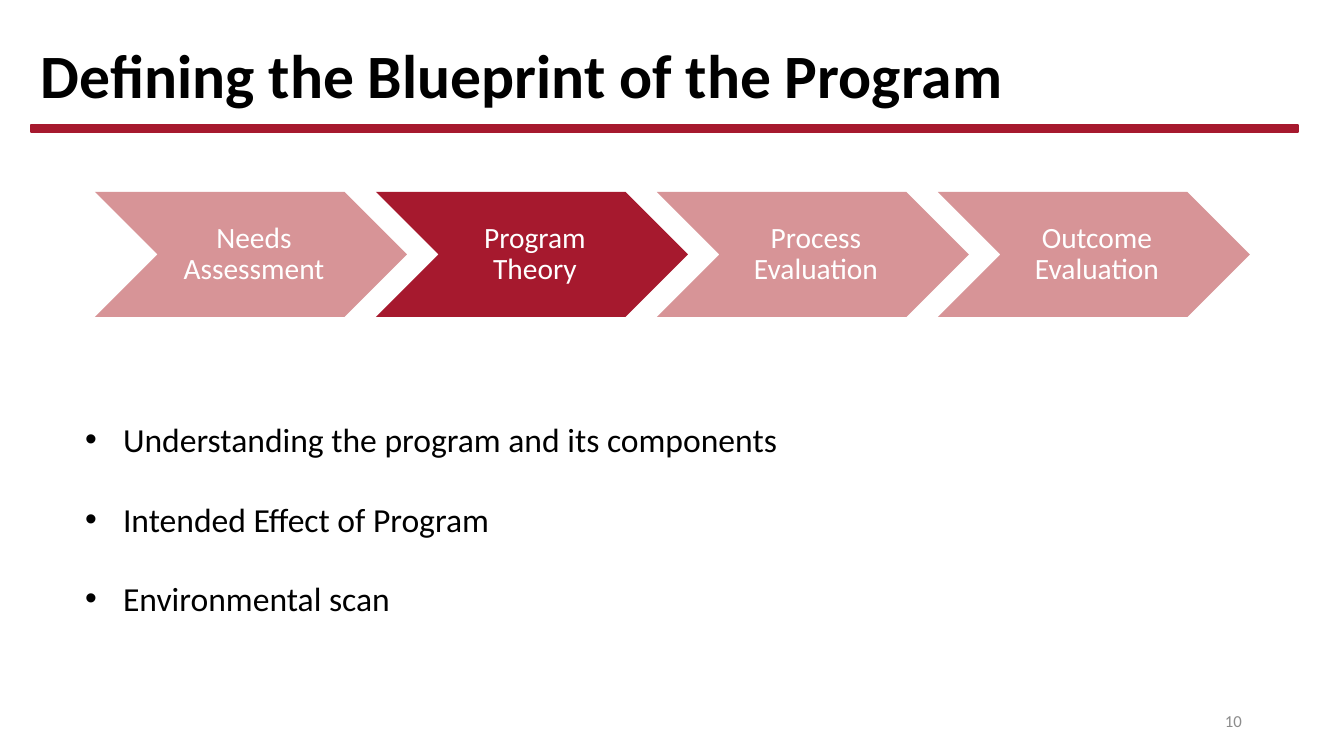
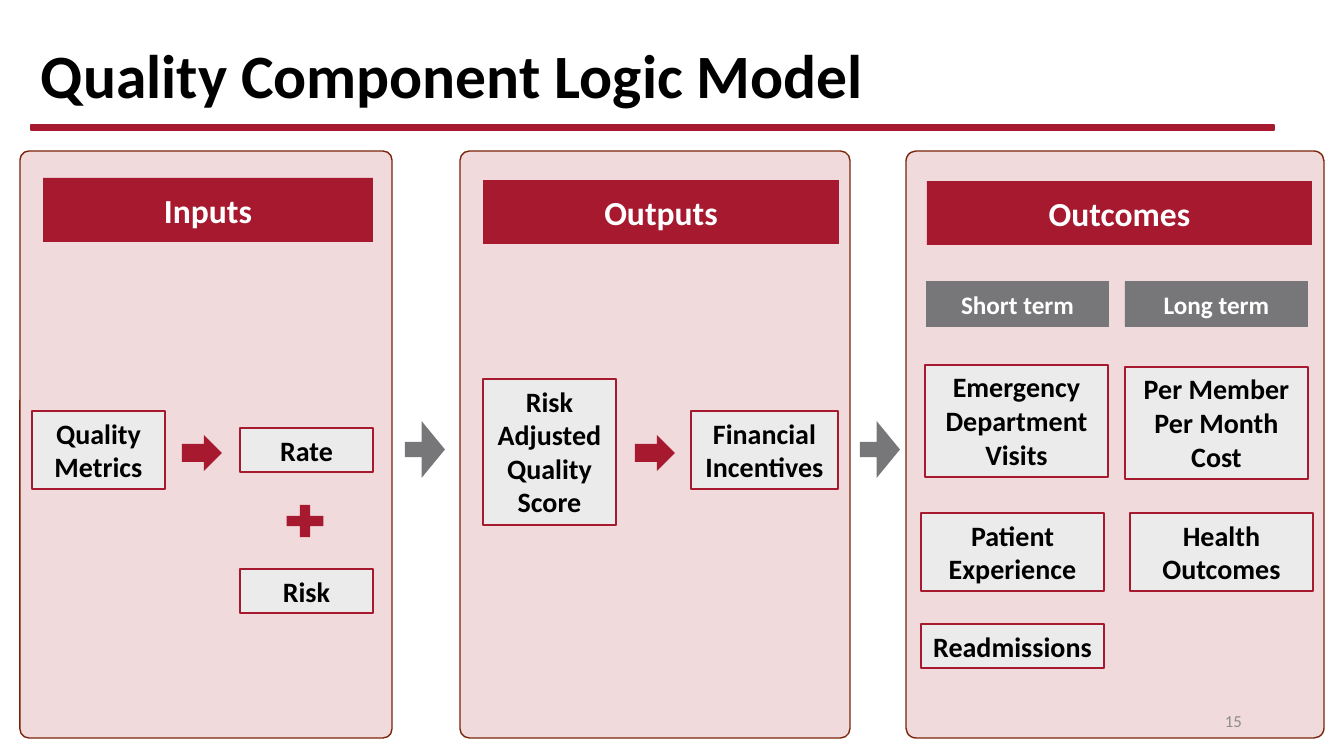
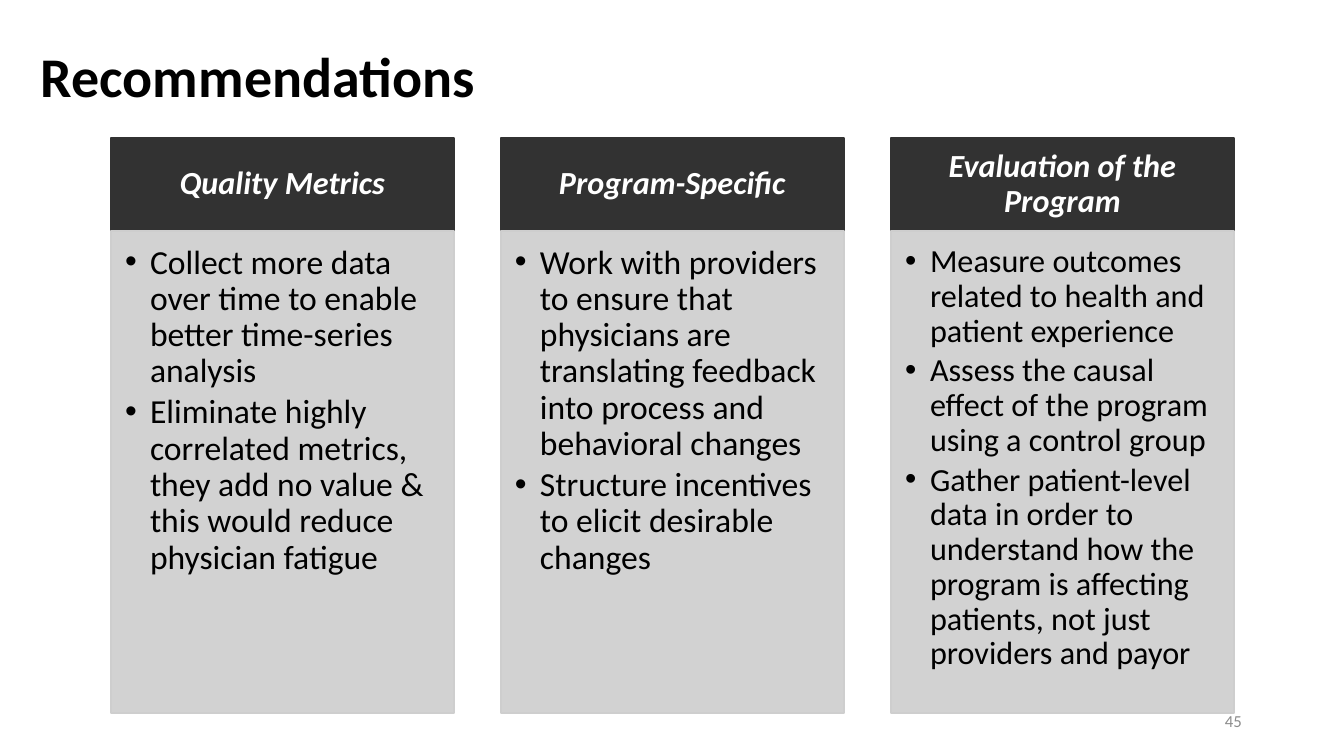
from dataclasses import dataclass

from lxml.etree import SubElement
from pptx import Presentation
from pptx.dml.color import RGBColor
from pptx.enum.shapes import MSO_SHAPE as SHAPE
from pptx.enum.text import MSO_ANCHOR as ANCHOR, PP_ALIGN as ALIGN
from pptx.oxml.ns import qn
from pptx.util import Emu, Pt

WIDTH, HEIGHT = 1344, 756
EMU_PER_PX = 12192000 / WIDTH


@dataclass(frozen=True)
class Theme:
    font: str = "Calibri"
    red: str = "A6192E"
    pale_red: str = "D79497"
    panel_edge: str = "7A240B"
    gray: str = "777779"
    charcoal: str = "323232"
    silver: str = "CECECE"
    box: str = "EBEBEB"
    black: str = "000000"
    white: str = "FFFFFF"
    footer: str = "8C8C8C"
    title_size: int = 44
    heading_size: int = 24
    column_size: int = 23
    chevron_size: int = 21
    box_size: int = 20
    term_size: int = 18
    footer_size: int = 12


theme = Theme()


def write(shape, text, size, color=theme.black, bold=False, italic=False,
          align=ALIGN.LEFT, anchor=ANCHOR.MIDDLE, spacing=1.0, after=0,
          indent=0, insets=(10, 5, 10, 5)):
    """Fill a shape with one paragraph per line; an indent adds bullets."""
    frame = shape.text_frame
    frame.word_wrap = True
    frame.vertical_anchor = anchor
    (frame.margin_left, frame.margin_top, frame.margin_right,
     frame.margin_bottom) = [Emu(round(px * EMU_PER_PX)) for px in insets]
    frame.text = text
    for paragraph in frame.paragraphs:
        paragraph.alignment = align
        paragraph.line_spacing = spacing
        paragraph.space_after = Pt(after)
        font = paragraph.runs[0].font
        font.name, font.size = theme.font, Pt(size)
        font.bold, font.italic = bold, italic
        font.color.rgb = RGBColor.from_string(color)
        if indent:
            properties = paragraph._p.get_or_add_pPr()
            hang = round(indent * EMU_PER_PX)
            properties.set("marL", str(hang))
            properties.set("indent", str(-hang))
            SubElement(properties, qn("a:buFont")).set("typeface", "Arial")
            SubElement(properties, qn("a:buChar")).set("char", "•")


def place(slide, kind, box, fill=None, line=None, weight=1, opacity=100, adjust=()):
    """Add a preset shape, or a text box when kind is None; box is in px."""
    edges = [Emu(round(px * EMU_PER_PX)) for px in box]
    if kind is None:
        return slide.shapes.add_textbox(*edges)
    shape = slide.shapes.add_shape(kind, *edges)
    shape.shadow.inherit = False
    for index, value in enumerate(adjust):
        shape.adjustments[index] = value
    shape.fill.solid()
    shape.fill.fore_color.rgb = RGBColor.from_string(fill)
    if opacity < 100:
        tint = shape.fill._xPr.find(qn("a:solidFill"))[0]
        SubElement(tint, qn("a:alpha")).set("val", str(opacity * 1000))
    if line:
        shape.line.color.rgb = RGBColor.from_string(line)
        shape.line.width = Pt(weight)
    else:
        shape.line.fill.background()
    return shape


deck = Presentation()
deck.slide_width = Emu(round(WIDTH * EMU_PER_PX))
deck.slide_height = Emu(round(HEIGHT * EMU_PER_PX))

# Titles and the rule beneath them: title, size, rule width, rule height
pages = []
for title, size, rule_width, rule_height in (
    ("Defining the Blueprint of the Program", theme.title_size, 1267, 7),
    ("Quality Component Logic Model", theme.title_size, 1243, 5),
    ("Recommendations", 40, 0, 0),
):
    page = deck.slides.add_slide(deck.slide_layouts[6])
    pages.append(page)
    write(place(page, None, (31, 33, 1159, 92)), title, size, bold=True, spacing=0.9)
    if rule_width:
        place(page, SHAPE.RECTANGLE, (31, 125, rule_width, rule_height),
              theme.red, theme.red)
blueprint, logic_model, recommendations = pages

# Blueprint: four stages, the current one in full red
stages = ("Needs Assessment", "Program Theory", "Process Evaluation", "Outcome Evaluation")
for index, stage in enumerate(stages):
    fill = theme.red if stage == "Program Theory" else theme.pale_red
    chevron = place(blueprint, SHAPE.CHEVRON, (95 + 281 * index, 192, 312, 125), fill)
    write(chevron, stage, theme.chevron_size, theme.white, align=ALIGN.CENTER,
          spacing=0.9, insets=(9, 3, 3, 3))

write(place(blueprint, None, (75, 414, 929, 214)),
      "Understanding the program and its components\n"
      "Intended Effect of Program\n"
      "Environmental scan",
      theme.heading_size, anchor=ANCHOR.TOP, after=28, indent=38)

# Logic model: panels with headings
for heading, left, width, band in (
    ("Inputs", 20, 372, (43, 178, 330, 64)),
    ("Outputs", 460, 390, (483, 180, 356, 64)),
    ("Outcomes", 906, 418, (927, 181, 385, 64)),
):
    place(logic_model, SHAPE.ROUNDED_RECTANGLE, (left, 151, width, 587),
          theme.pale_red, theme.panel_edge, opacity=34, adjust=(0.024,))
    write(place(logic_model, SHAPE.RECTANGLE, band, theme.red), heading,
          theme.heading_size, theme.white, bold=True, align=ALIGN.CENTER)

for term, left in (("Short term", 926), ("Long term", 1125)):
    write(place(logic_model, SHAPE.RECTANGLE, (left, 281, 183, 46), theme.gray), term,
          theme.term_size, theme.white, bold=True, align=ALIGN.CENTER)

# Each box is as tall as its number of text lines
for label, left, top, width, lines in (
    ("Quality Metrics", 32, 411, 133, 2),
    ("Rate", 240, 428, 133, 1),
    ("Risk", 240, 569, 133, 1),
    ("Risk Adjusted Quality Score", 483, 379, 133, 4),
    ("Financial Incentives", 691, 411, 147, 2),
    ("Emergency Department Visits", 925, 365, 183, 3),
    ("Patient Experience", 921, 513, 183, 2),
    ("Readmissions", 921, 624, 183, 1),
    ("Per Member Per Month Cost", 1125, 367, 183, 3),
    ("Health Outcomes", 1130, 513, 183, 2),
):
    measure = place(logic_model, SHAPE.RECTANGLE, (left, top, width, 10 + 34 * lines),
                    theme.box, theme.red, weight=1.5)
    write(measure, label, theme.box_size, bold=True, align=ALIGN.CENTER, anchor=ANCHOR.TOP)

place(logic_model, SHAPE.MATH_PLUS, (280, 499, 50, 44), theme.red)
for left in (182, 635):
    place(logic_model, SHAPE.RIGHT_ARROW, (left, 435, 40, 36), theme.red)
for left in (405, 860):
    place(logic_model, SHAPE.RIGHT_ARROW, (left, 421, 40, 57), theme.gray,
          adjust=(0.265, 0.585))

# Recommendations: three columns of heading and advice
columns = (
    ("Quality Metrics", 24,
     "Collect more data over time to enable better time-series analysis\n"
     "Eliminate highly correlated metrics, they add no value & this would reduce "
     "physician fatigue"),
    ("Program-Specific", 24,
     "Work with providers to ensure that physicians are translating feedback into "
     "process and behavioral changes\n"
     "Structure incentives to elicit desirable changes"),
    ("Evaluation of the Program", 23,
     "Measure outcomes related to health and patient experience\n"
     "Assess the causal effect of the program using a control group\n"
     "Gather patient-level data in order to understand how the program is affecting "
     "patients, not just providers and payor"),
)
for index, (heading, size, advice) in enumerate(columns):
    left = 111 + 390 * index
    header = place(recommendations, SHAPE.RECTANGLE, (left, 138, 343, 93),
                   theme.charcoal, theme.charcoal)
    write(header, heading, theme.column_size, theme.white, bold=True, italic=True,
          align=ALIGN.CENTER, spacing=0.9, insets=(18, 10, 18, 10))
    body = place(recommendations, SHAPE.RECTANGLE, (left, 231, 343, 482),
                 theme.silver, theme.silver, opacity=90)
    write(body, advice, size, anchor=ANCHOR.TOP, spacing=0.9, after=3.5,
          indent=25, insets=(14, 14, 19, 21))

# Page numbers lie above the panels
for page, number in zip(pages, ("10", "15", "45")):
    write(place(page, None, (950, 701, 302, 40)), number, theme.footer_size,
          theme.footer, align=ALIGN.RIGHT)

deck.save("out.pptx")
